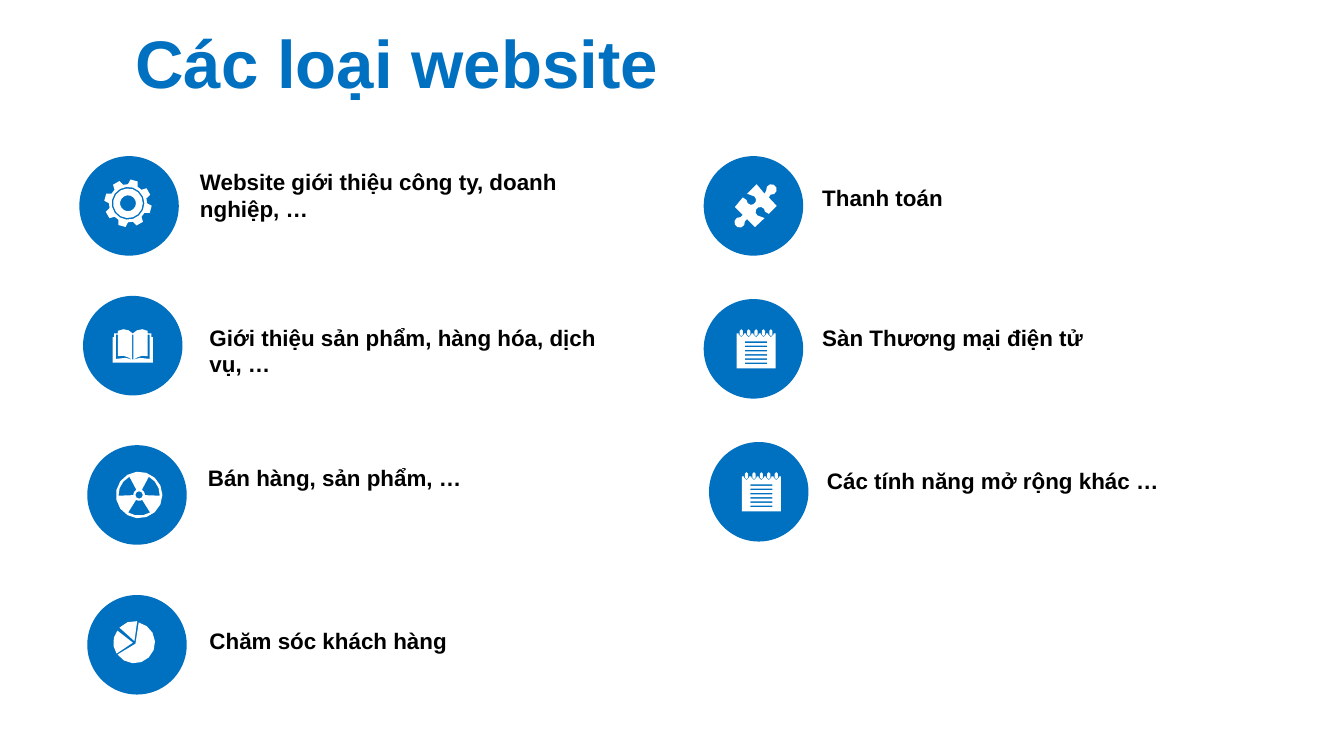
"""Build a slide listing the kinds of website, each with a round icon."""
from math import cos, radians, sin

from pptx import Presentation
from pptx.dml.color import RGBColor
from pptx.enum.shapes import MSO_SHAPE
from pptx.enum.text import MSO_ANCHOR as Anchor, MSO_AUTO_SIZE as AutoSize
from pptx.util import Cm, Pt

COLORS = {"blue": "0070C0", "white": "FFFFFF", "black": "000000"}
FONT = "Arial"
CIRCLE = 1.88
UNITS_PER_CM = 1000


def arc(x, y, radius, start=0, end=360, turn=24):
    steps = max(1, round(abs(end - start) / turn))
    angles = [radians(start + (end - start) * step / steps) for step in range(steps + 1)]
    return [(x + radius * cos(angle), y + radius * sin(angle)) for angle in angles]


def add_text(left, top, width, height, text, size, color):
    box = page.shapes.add_textbox(Cm(left), Cm(top), Cm(width), Cm(height))
    frame = box.text_frame
    frame.word_wrap = True
    frame.text = text
    font = frame.paragraphs[0].runs[0].font
    font.name, font.size, font.bold = FONT, Pt(size), True
    font.color.rgb = RGBColor.from_string(COLORS[color])
    return frame


gear_rim = []
for tooth in range(8):
    middle = tooth * 45 - 75
    for radius, half in [(0.36, 15), (0.45, 9)]:
        gear_rim += arc(0.46, 0.46, radius, middle - half, middle + half, 30)[:1]
    for radius, half in [(0.45, 9), (0.36, 15)]:
        gear_rim += arc(0.46, 0.46, radius, middle - half, middle + half, 30)[1:]
gear = [gear_rim] + [arc(0.46, 0.46, radius) for radius in (0.31, 0.28, 0.15)]

cover_left = [(0, 0.63), (0, 0.15), (0.03, 0.15), (0.03, 0.08), (0.1, 0.08),
              (0.1, 0.03), (0.2, 0), (0.3, 0.02), (0.38, 0.08)]
page_edge = [(0.06, 0.1), (0.1, 0.1), (0.1, 0.51), (0.2, 0.5), (0.29, 0.53),
             (0.38, 0.58), (0.25, 0.54), (0.06, 0.56)]
book = [
    cover_left + [(0.76 - x, y) for x, y in reversed(cover_left)],
    page_edge,
    [(0.76 - x, y) for x, y in page_edge],
    [(0.37, 0.1), (0.39, 0.1), (0.39, 0.57), (0.37, 0.57)],
]

radiation = [arc(0.44, 0.44, 0.44), arc(0.44, 0.44, 0.07, turn=45)]
for middle in (90, 210, 330):
    radiation.append(arc(0.44, 0.44, 0.39, middle - 32, middle + 32)
                     + arc(0.44, 0.44, 0.11, middle + 32, middle - 32))

pie = [
    [(0.43, 0.43)] + arc(0.41, 0.41, 0.39, -78, 145),
    [(0.38, 0.41)] + arc(0.38, 0.41, 0.37, 146, 218),
    [(0.41, 0.38)] + arc(0.41, 0.38, 0.38, 222, 278),
]

puzzle = [
    [(0.41, 0), (0.56, 0.18)] + arc(0.69, 0.1, 0.1, 170, 460, 40)
    + [(0.64, 0.25), (0.79, 0.41), (0.64, 0.56)] + arc(0.48, 0.52, 0.09, 0, -270, 40)
    + [(0.56, 0.64), (0.38, 0.81), (0.23, 0.66)] + arc(0.09, 0.72, 0.1, -10, 280, 40)
    + [(0.15, 0.58), (0, 0.43), (0.15, 0.25)] + arc(0.31, 0.3, 0.09, 180, -90, 40)
    + [(0.23, 0.18)]
]

sheet = [(0, 0.08)]
notepad = []
for ring in range(5):
    middle = 0.09 + ring * 0.14
    sheet += ([(middle - 0.05, 0.08)] + arc(middle, 0.1, 0.05, 180, 0, 90)
              + [(middle + 0.05, 0.08)])
    notepad.append(arc(middle, 0.03, 0.03, 180, 360, 90) + arc(middle, 0.1, 0.03, 0, 180, 90))
notepad.append(sheet + [(0.74, 0.08), (0.74, 0.74), (0, 0.74)])
for rule in range(6):
    top = 0.23 + rule * 0.08
    notepad.append([(0.16, top), (0.58, top), (0.58, top + 0.03), (0.16, top + 0.03)])

deck = Presentation()
deck.slide_width, deck.slide_height = Cm(25.4), Cm(14.28)
page = deck.slides.add_slide(deck.slide_layouts[6])

title = add_text(2.31, 0.36, 23.09, 1.6, "Các loại website", 36, "blue")
title.vertical_anchor = Anchor.MIDDLE

items = [
    ("Website giới thiệu công ty, doanh nghiệp, …", (1.5, 2.95), (3.53, 3.05, 8.18, 1.27),
     gear, (1.96, 3.38)),
    ("Giới thiệu sản phẩm, hàng hóa, dịch vụ, …", (1.57, 5.59), (3.71, 5.99, 8.1, 1.27),
     book, (2.13, 6.22)),
    ("Bán hàng, sản phẩm, …", (1.65, 8.41), (3.68, 8.64, 8.1, 0.76),
     radiation, (2.19, 8.91)),
    ("Chăm sóc khách hàng", (1.65, 11.24), (3.71, 11.73, 8.23, 0.76),
     pie, (2.13, 11.73)),
    ("Thanh toán", (13.3, 2.95), (15.29, 3.35, 8.15, 0.76), puzzle, (13.89, 3.48)),
    ("Sàn Thương mại điện tử", (13.3, 5.65), (15.29, 5.99, 7.14, 0.76),
     notepad, (13.92, 6.22)),
    ("Các tính năng mở rộng khác …", (13.4, 8.35), (15.38, 8.69, 7.14, 0.76),
     notepad, (14.02, 8.92)),
]

for text, (left, top), text_area, icon, (icon_left, icon_top) in items:
    circle = page.shapes.add_shape(MSO_SHAPE.OVAL, Cm(left), Cm(top), Cm(CIRCLE), Cm(CIRCLE))
    builder = None
    for contour in icon:
        points = [(round(x * UNITS_PER_CM), round(y * UNITS_PER_CM)) for x, y in contour]
        if builder is None:
            builder = page.shapes.build_freeform(*points[0], scale=Cm(1) / UNITS_PER_CM)
        else:
            builder.move_to(*points[0])
        builder.add_line_segments(points[1:], close=True)
    symbol = builder.convert_to_shape(Cm(icon_left), Cm(icon_top))
    for shape, color in [(circle, "blue"), (symbol, "white")]:
        shape.shadow.inherit = False
        shape.fill.solid()
        shape.fill.fore_color.rgb = RGBColor.from_string(COLORS[color])
        shape.line.fill.background()
    label = add_text(*text_area, text, 12, "black")
    label.auto_size = AutoSize.SHAPE_TO_FIT_TEXT

deck.save("out.pptx")
